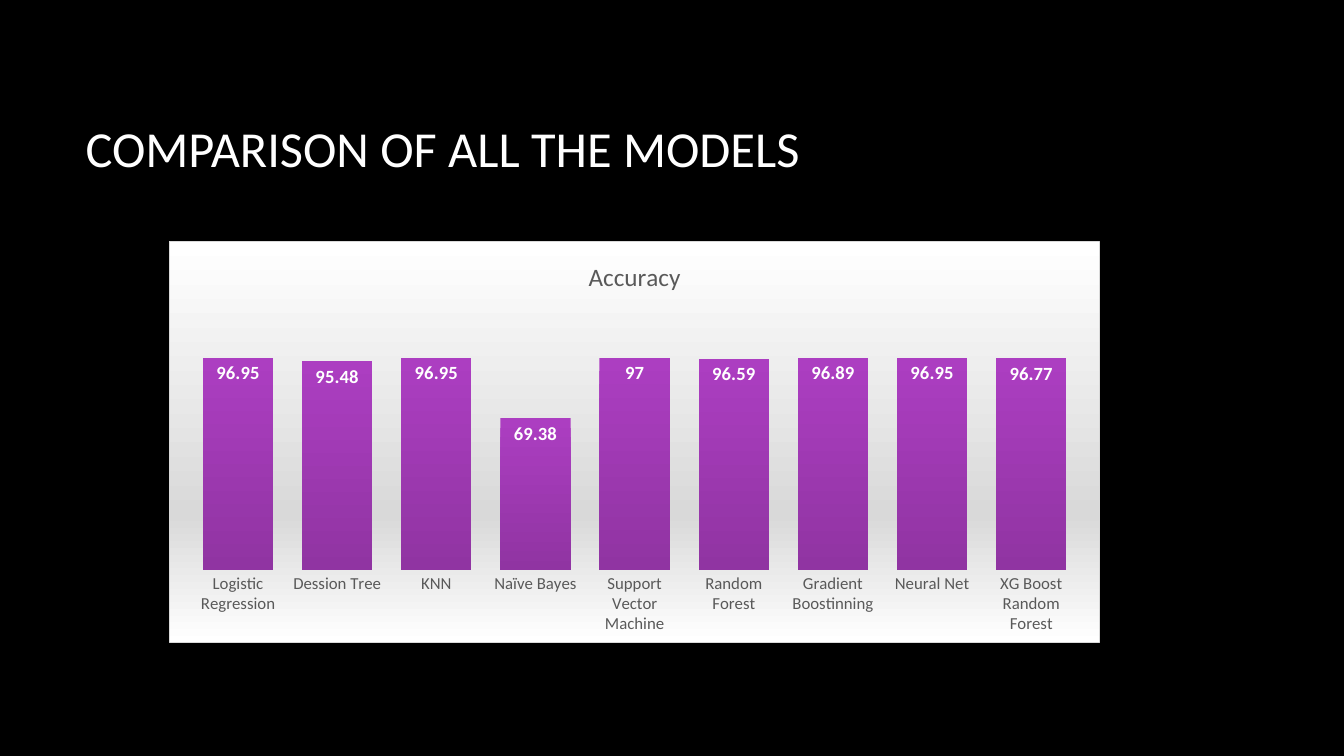
from dataclasses import dataclass
from typing import NamedTuple

from lxml import etree
from pptx import Presentation
from pptx.chart import data as chart_data
from pptx.dml import color
from pptx.enum import chart as chart_enum, text
from pptx.oxml import ns, parse_xml
from pptx.util import Inches, Pt


@dataclass(frozen=True)
class Theme:
    font: str = "Calibri"
    background: str = "000000"
    light: str = "FFFFFF"
    muted: str = "595959"
    border: str = "D9D9D9"
    bar_top: str = "AC3EC1"
    bar_bottom: str = "9034A2"
    title_size: float = 36
    chart_title_size: float = 18
    category_size: float = 12
    label_size: float = 13.3


class ModelScore(NamedTuple):
    model: str
    accuracy: float


THEME = Theme()
SCORES = [
    ModelScore("Logistic Regression", 96.95),
    ModelScore("Dession Tree", 95.48),
    ModelScore("KNN", 96.95),
    ModelScore("Naïve Bayes", 69.38),
    ModelScore("Support Vector Machine", 97),
    ModelScore("Random Forest", 96.59),
    ModelScore("Gradient Boostinning", 96.89),
    ModelScore("Neural Net", 96.95),
    ModelScore("XG Boost Random Forest", 96.77),
]
PANEL_STOPS = [(0, THEME.light), (68, THEME.border), (100, THEME.light)]


def rgb(value: str) -> color.RGBColor:
    return color.RGBColor.from_string(value)


def style_font(font, size: float, hue: str, bold: bool = False) -> None:
    font.name = THEME.font
    font.size = Pt(size)
    font.bold = bold
    font.color.rgb = rgb(hue)


def add_title(slide, words: str) -> None:
    title = slide.shapes.title
    title.left, title.top = Inches(0.75), Inches(0.67)
    title.width, title.height = Inches(11.08), Inches(1.59)
    frame = title.text_frame
    frame.vertical_anchor = text.MSO_ANCHOR.MIDDLE
    paragraph = frame.paragraphs[0]
    paragraph.alignment = text.PP_ALIGN.LEFT
    run = paragraph.add_run()
    run.text = words
    style_font(run.font, THEME.title_size, THEME.light)


def fill_panel(chart) -> None:
    """Give the chart area its gradient and border."""
    stops = "".join(
        f'<a:gs pos="{position * 1000}"><a:srgbClr val="{hue}"/></a:gs>'
        for position, hue in PANEL_STOPS
    )
    panel = parse_xml(
        f'<c:spPr {ns.nsdecls("c", "a")}>'
        f'<a:gradFill><a:gsLst>{stops}</a:gsLst><a:lin ang="5400000" scaled="0"/></a:gradFill>'
        f'<a:ln w="{Pt(0.75)}"><a:solidFill><a:srgbClr val="{THEME.border}"/></a:solidFill></a:ln>'
        "</c:spPr>"
    )
    chart.element.find(ns.qn("c:chart")).addnext(panel)


def place_plot(chart, x: float, y: float, width: float, height: float) -> None:
    """Fix the inner plot area, in fractions of the chart."""
    plot_area = chart.element.find(ns.qn("c:chart")).find(ns.qn("c:plotArea"))
    for old_layout in plot_area.findall(ns.qn("c:layout")):
        plot_area.remove(old_layout)
    layout = etree.Element(ns.qn("c:layout"))
    manual = etree.SubElement(layout, ns.qn("c:manualLayout"))
    settings = {"layoutTarget": "inner", "xMode": "edge", "yMode": "edge",
                "x": x, "y": y, "w": width, "h": height}
    for name, value in settings.items():
        etree.SubElement(manual, ns.qn(f"c:{name}")).set("val", str(value))
    plot_area.insert(0, layout)


def add_accuracy_chart(slide, scores: list[ModelScore]) -> None:
    values = chart_data.CategoryChartData()
    values.categories = [score.model for score in scores]
    values.add_series("Accuracy", [score.accuracy for score in scores])
    chart = slide.shapes.add_chart(
        chart_enum.XL_CHART_TYPE.COLUMN_CLUSTERED,
        Inches(1.68), Inches(2.39), Inches(9.23), Inches(3.99), values,
    ).chart
    style_font(chart.font, 10, THEME.light)
    chart.has_legend = False
    fill_panel(chart)
    place_plot(chart, 0.02, 0.165, 0.96, 0.655)

    # Chart title
    chart.has_title = True
    run = chart.chart_title.text_frame.paragraphs[0].add_run()
    run.text = "Accuracy"
    style_font(run.font, THEME.chart_title_size, THEME.muted)
    chart.chart_title.include_in_layout = False

    # Axes
    category_axis = chart.category_axis
    category_axis.major_tick_mark = chart_enum.XL_TICK_MARK.NONE
    category_axis.format.line.fill.background()
    style_font(category_axis.tick_labels.font, THEME.category_size, THEME.muted)
    value_axis = chart.value_axis
    value_axis.minimum_scale, value_axis.maximum_scale = 0, 120
    value_axis.has_major_gridlines = False
    value_axis.visible = False

    # Bars
    plot = chart.plots[0]
    plot.gap_width = 41
    plot.vary_by_categories = False
    series = plot.series[0]
    fill = series.format.fill
    fill.gradient()
    fill.gradient_angle = 270
    for stop, hue in zip(fill.gradient_stops, (THEME.bar_top, THEME.bar_bottom)):
        stop.color.rgb = rgb(hue)

    # Value labels
    labels = series.data_labels
    labels.show_value = True
    labels.position = chart_enum.XL_LABEL_POSITION.INSIDE_END
    style_font(labels.font, THEME.label_size, THEME.light, bold=True)


def main() -> None:
    presentation = Presentation()
    presentation.slide_width = Inches(13.33)
    presentation.slide_height = Inches(7.5)
    slide = presentation.slides.add_slide(presentation.slide_layouts[5])
    slide.background.fill.solid()
    slide.background.fill.fore_color.rgb = rgb(THEME.background)
    add_title(slide, "COMPARISON OF ALL THE MODELS")
    add_accuracy_chart(slide, SCORES)
    presentation.save("out.pptx")


if __name__ == "__main__":
    main()
